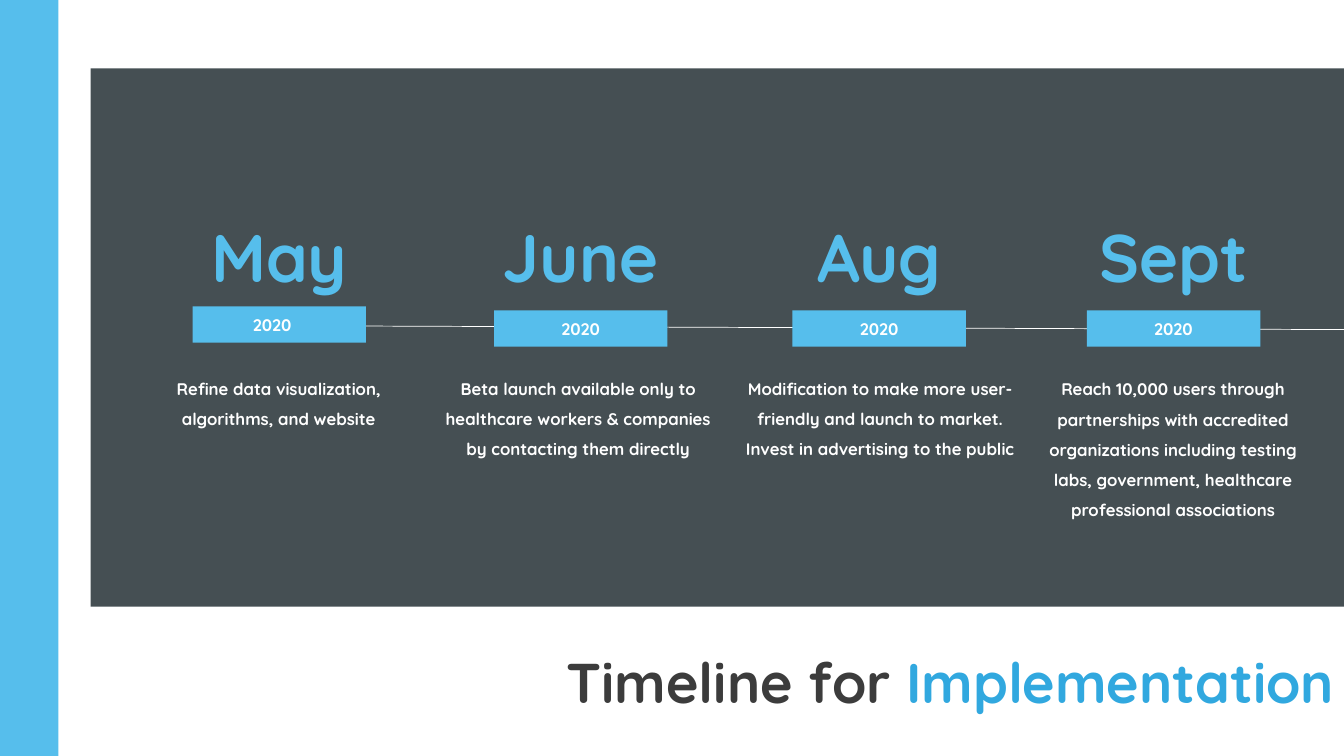
from dataclasses import dataclass

from lxml import etree
from pptx import Presentation
from pptx.dml.color import RGBColor
from pptx.enum import shapes, text
from pptx.oxml import ns
from pptx.util import Inches, Pt


@dataclass(frozen=True)
class Theme:
    """Colours, type sizes and font of the slide."""
    sky: str = "56BEEC"
    accent: str = "31A8DF"
    slate: str = "313C41"
    ink: str = "3C3C3C"
    white: str = "FFFFFF"
    title_size: int = 40
    month_size: int = 48
    body_size: int = 12
    font: str = "Quicksand"


@dataclass(frozen=True)
class Milestone:
    """One stop on the timeline, with lengths in inches."""
    month: str
    note: str
    center: float
    month_width: float
    note_left: float
    note_height: float
    note_width: float = 2.89
    bar_top: float = 3.08
    year_shift: float = 0
    year: str = "2020"


THEME = Theme()
MILESTONES = [
    Milestone("May", "Refine data visualization, algorithms, and website",
              2.77, 2.16, 1.32, 0.67, bar_top=3.04, year_shift=-0.07),
    Milestone("June", "Beta launch available only to healthcare workers & "
              "companies by contacting them directly", 5.76, 2.16, 4.29, 0.97),
    Milestone("Aug", "Modification to make more user-friendly and launch to "
              "market. Invest in advertising to the public",
              8.72, 2.7, 7.27, 0.97, note_width=2.92),
    Milestone("Sept", "Reach 10,000 users through partnerships with accredited "
              "organizations including testing labs, government, healthcare "
              "professional associations", 11.64, 3.82, 10.19, 1.58),
]


def add_block(page, box, color, opacity=100):
    """Add a plain filled rectangle in the given box."""
    block = page.shapes.add_shape(shapes.MSO_SHAPE.RECTANGLE, *map(Inches, box))
    block.shadow.inherit = False
    block.fill.solid()
    block.fill.fore_color.rgb = RGBColor.from_string(color)
    block.line.fill.background()
    if opacity < 100:
        tint = block.fill._xPr.find(".//" + ns.qn("a:srgbClr"))
        etree.SubElement(tint, ns.qn("a:alpha"), val=str(opacity * 1000))
    return block


def add_words(page, box, spans, size, align=text.PP_ALIGN.CENTER,
              spacing=None, grow=True):
    """Add one bold paragraph made of (words, colour) spans."""
    frame = page.shapes.add_textbox(*map(Inches, box)).text_frame
    frame.word_wrap = True
    frame.vertical_anchor = text.MSO_ANCHOR.MIDDLE
    fit = text.MSO_AUTO_SIZE
    frame.auto_size = fit.SHAPE_TO_FIT_TEXT if grow else fit.NONE
    para = frame.paragraphs[0]
    para.alignment = align
    if spacing:
        para.line_spacing = spacing
    for words, color in spans:
        span = para.add_run()
        span.text = words
        span.font.name = THEME.font
        span.font.size = Pt(size)
        span.font.bold = True
        span.font.color.rgb = RGBColor.from_string(color)


def add_axis(page, box):
    """Draw the thin timeline from corner to corner of the box."""
    left, top, width, height = box
    ends = map(Inches, (left, top, left + width, top + height))
    axis = page.shapes.add_connector(shapes.MSO_CONNECTOR.STRAIGHT, *ends)
    axis.line.color.rgb = RGBColor.from_string(THEME.white)
    axis.line.width = Pt(0.5)
    etree.SubElement(axis._element.spPr, ns.qn("a:effectLst"))


def add_milestone(page, stop, top):
    """Place a month, its year bar and its note below the given top."""
    bar_width, year_width = 1.72, 1.56
    month_left = stop.center - stop.month_width / 2
    year_left = stop.center + stop.year_shift - year_width / 2
    add_words(page, (month_left, top, stop.month_width, 0.91),
              [(stop.month, THEME.sky)], THEME.month_size)
    add_block(page, (stop.center - bar_width / 2, stop.bar_top, bar_width, 0.36),
              THEME.sky)
    add_words(page, (year_left, stop.bar_top + 0.03, year_width, 0.3),
              [(stop.year, THEME.white)], THEME.body_size)
    add_words(page, (stop.note_left, top + 1.54, stop.note_width, stop.note_height),
              [(stop.note, THEME.white)], THEME.body_size, spacing=1.5)


def add_timeline(page, box):
    """Build the dark panel with its axis and milestones."""
    left, top, width, height = box
    add_block(page, box, THEME.slate, opacity=90)
    add_axis(page, (left + 1.44, top + 2.55, width - 1.44, 0.04))
    for stop in MILESTONES:
        add_milestone(page, stop, top + 1.4)


def add_title(page, box):
    """Set the two-colour title against the right edge of the box."""
    add_words(page, box, [("Timeline for ", THEME.ink),
                          ("Implementation", THEME.accent)],
              THEME.title_size, align=text.PP_ALIGN.RIGHT, grow=False)


def main():
    """Build and save the one-slide deck."""
    deck = Presentation()
    deck.slide_width, deck.slide_height = Inches(13.33), Inches(7.5)
    page = deck.slides.add_slide(deck.slide_layouts[6])
    add_block(page, (0, 0, 0.58, 7.5), THEME.sky)
    add_timeline(page, (0.9, 0.68, 12.43, 5.34))
    add_title(page, (5.15, 6.02, 8.18, 1.48))
    deck.save("out.pptx")


if __name__ == "__main__":
    main()
